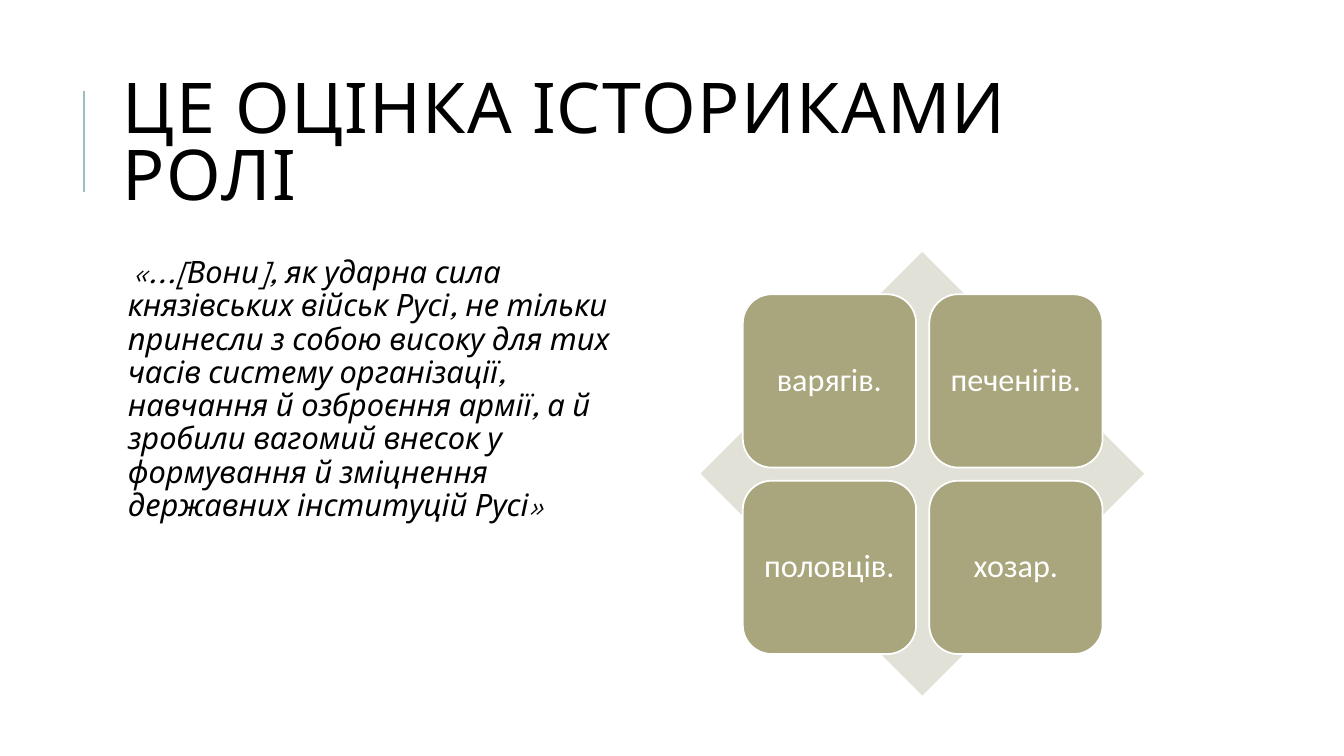
from lxml import etree
from pptx import Presentation
from pptx.dml.color import RGBColor
from pptx.enum.shapes import MSO_CONNECTOR, MSO_SHAPE
from pptx.enum.text import MSO_ANCHOR, MSO_AUTO_SIZE, PP_ALIGN
from pptx.oxml.ns import qn
from pptx.util import Pt

LEFT, CENTER = PP_ALIGN.LEFT, PP_ALIGN.CENTER
TOP, MIDDLE = MSO_ANCHOR.TOP, MSO_ANCHOR.MIDDLE
DIAMOND, ROUND = MSO_SHAPE.DIAMOND, MSO_SHAPE.ROUNDED_RECTANGLE
COLORS = {"text": "000000", "rule": "9CBEBD", "back": "E2E1D7",
          "tile": "A9A57C", "white": "FFFFFF"}


def color(name):
    return RGBColor.from_string(COLORS[name])


def write(shape, text, anchor, inset, align, spacing, style, ink):
    frame = shape.text_frame
    form = {"word_wrap": True, "auto_size": MSO_AUTO_SIZE.NONE,
            "vertical_anchor": anchor}
    for side in ("left", "right", "top", "bottom"):
        form["margin_" + side] = Pt(inset)
    for key, value in form.items():
        setattr(frame, key, value)
    para = frame.paragraphs[0]
    para.alignment = align
    para.line_spacing = spacing
    run = para.add_run()
    run.text = text
    for key, value in style.items():
        setattr(run.font, key, value)
    run.font.color.rgb = color(ink)
    return para


deck = Presentation()
deck.slide_width, deck.slide_height = Pt(960), Pt(540)
slide = deck.slides.add_slide(deck.slide_layouts[5])
shapes = slide.shapes

rule = shapes.add_connector(MSO_CONNECTOR.STRAIGHT, Pt(60), Pt(137), Pt(60), Pt(65))
rule.line.color.rgb = color("rule")
rule.line.width = Pt(1.5)
etree.SubElement(rule._element.spPr, qn("a:effectLst"))

title = shapes.title
place = {"left": 80.6, "top": 46, "width": 765.4, "height": 118}
for key, value in place.items():
    setattr(title, key, Pt(value))
head = write(title, "ЦЕ ОЦІНКА ІСТОРИКАМИ РОЛІ", MIDDLE, 7.2, LEFT, 0.8,
             {"name": "League Spartan", "size": Pt(50)}, "text")
head.runs[0]._r.get_or_add_rPr().set("spc", "100")

body = shapes.add_textbox(Pt(80.6), Pt(180), Pt(374.4), Pt(316.8))
quote = write(body, "«...[Вони], як ударна сила князівських військ Русі, не тільки "
              "принесли з собою високу для тих часів систему організації, навчання "
              "й озброєння армії, а й зробили вагомий внесок у формування й "
              "зміцнення державних інституцій Русі»", TOP, 3.6, LEFT, 0.9,
              {"name": "League Spartan", "size": Pt(22), "italic": True}, "text")
props = quote._p.get_or_add_pPr()
props.set("marL", str(Pt(7.2)))
props.set("indent", str(-Pt(7.2)))
etree.SubElement(props, qn("a:buChar")).set("char", " ")

back = shapes.add_shape(DIAMOND, Pt(500.4), Pt(180), Pt(316.8), Pt(316.8))
back.shadow.inherit = False
back.fill.solid()
back.fill.fore_color.rgb = color("back")
back.line.fill.background()

size, step = 123.8, 133.2
for i, name in enumerate(("варягів.", "печенігів.", "половців.", "хозар.")):
    row, col = divmod(i, 2)
    tile = shapes.add_shape(ROUND, Pt(530.6 + col * step), Pt(210.2 + row * step),
                            Pt(size), Pt(size))
    tile.shadow.inherit = False
    tile.fill.solid()
    tile.fill.fore_color.rgb = color("tile")
    tile.line.color.rgb = color("white")
    tile.line.width = Pt(1.25)
    write(tile, name, MIDDLE, 7.2, CENTER, 0.9,
          {"name": "Calibri", "size": Pt(23)}, "white")

deck.save("out.pptx")
